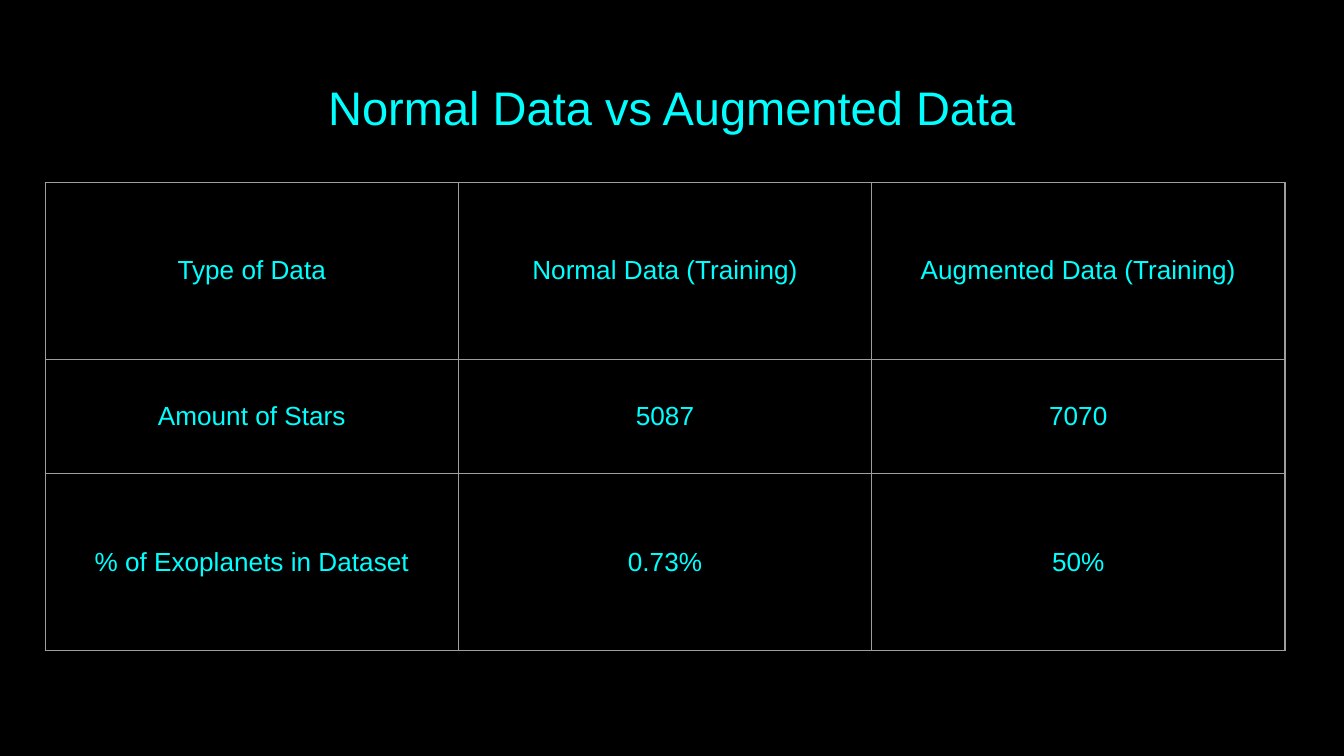
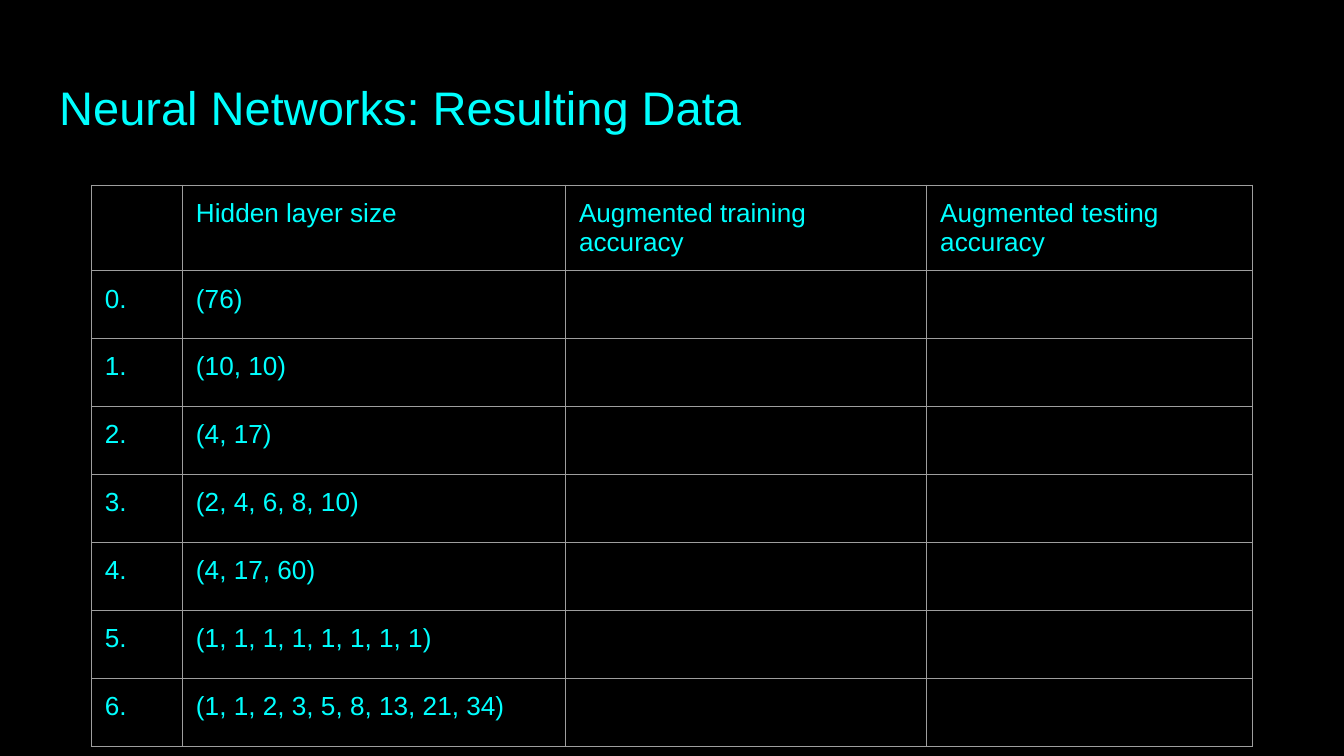
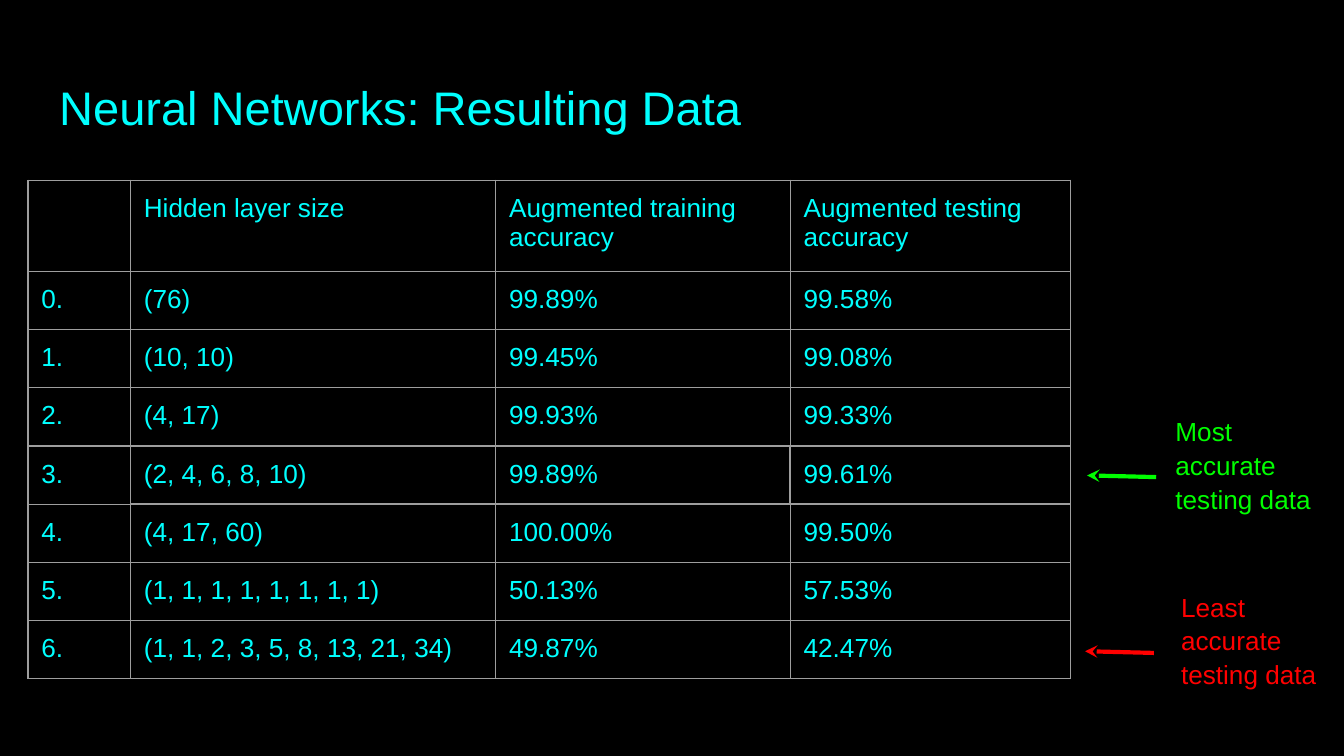
"""Build three slides comparing exoplanet training data and neural network results."""
import pptx
import pptx.dml.color
import pptx.enum.shapes
import pptx.enum.text
import pptx.oxml
import pptx.oxml.ns
import pptx.util
from lxml import etree

Pt = pptx.util.Pt
ALIGN = pptx.enum.text.PP_ALIGN
ANCHOR = pptx.enum.text.MSO_ANCHOR
AUTO_SIZE = pptx.enum.text.MSO_AUTO_SIZE

BLACK, CYAN, GRAY, GREEN, RED = "000000", "00FFFF", "9E9E9E", "00FF00", "FF0000"
FONT = "Arial"
TITLE_SIZE, BODY_SIZE = 25.2, 14
TITLE_BOX = (24.5, 35, 671, 45.1)
LABEL_SIZE = (87.8, 82)
INSET = 7.2
THIN, THICK = 0.75, 1
EDGES = {"a:lnL": (0, -1), "a:lnR": (0, 1), "a:lnT": (-1, 0), "a:lnB": (1, 0)}

DATA_ROWS = [
    ("Type of Data", "Normal Data (Training)", "Augmented Data (Training)"),
    ("Amount of Stars", "5087", "7070"),
    ("% of Exoplanets in Dataset", "0.73%", "50%"),
]
RESULT_HEADER = ("", "Hidden layer size", "Augmented training accuracy", "Augmented testing accuracy")
NETWORKS = [
    ("(76)", "99.89%", "99.58%"),
    ("(10, 10)", "99.45%", "99.08%"),
    ("(4, 17)", "99.93%", "99.33%"),
    ("(2, 4, 6, 8, 10)", "99.89%", "99.61%"),
    ("(4, 17, 60)", "100.00%", "99.50%"),
    ("(1, 1, 1, 1, 1, 1, 1, 1)", "50.13%", "57.53%"),
    ("(1, 1, 2, 3, 5, 8, 13, 21, 34)", "49.87%", "42.47%"),
]
FULL_ROWS = [RESULT_HEADER] + [(f"{number}.", *network) for number, network in enumerate(NETWORKS)]
EMPTY_ROWS = [RESULT_HEADER] + [(*row[:2], "", "") for row in FULL_ROWS[1:]]
BEST_CELLS = {(4, column) for column in (1, 2, 3)}

SLIDES = [
    {
        "title": "Normal Data vs Augmented Data", "align": ALIGN.CENTER, "anchor": ANCHOR.MIDDLE,
        "rows": DATA_ROWS, "corner": (24.2, 97.7),
        "widths": [221.4] * 3, "heights": [94.8, 61.3, 94.8],
    },
    {
        "title": "Neural Networks: Resulting Data", "align": ALIGN.LEFT, "anchor": ANCHOR.TOP,
        "rows": EMPTY_ROWS, "corner": (49, 99.2),
        "widths": [48.8, 205.2, 193.5, 174.4], "heights": [31.7] + [32.4] * 7,
    },
    {
        "title": "Neural Networks: Resulting Data", "align": ALIGN.LEFT, "anchor": ANCHOR.TOP,
        "rows": FULL_ROWS, "corner": (15, 96.5),
        "widths": [54.9, 195.7, 157.8, 150.1], "heights": [48.9] + [31.2] * 7,
        "thick": BEST_CELLS,
        "labels": [
            ("Least accurate testing data", RED, (625.6, 308)),
            ("Most accurate testing data", GREEN, (622.6, 214.2)),
        ],
        "arrows": [
            (GREEN, (582.4, 254.7, 619.4, 255.6)),
            (RED, (581.3, 348.9, 618.2, 349.8)),
        ],
    },
]


def color(value):
    return pptx.dml.color.RGBColor.from_string(value)


def apply(target, values):
    for name, value in values.items():
        setattr(target, name, value)


def points(values):
    return [Pt(value) for value in values]


def write(frame, text, size, text_color, paragraph_format):
    apply(frame, {"word_wrap": True, **{
        f"margin_{side}": Pt(INSET) for side in ("left", "right", "top", "bottom")}})
    paragraph = frame.paragraphs[0]
    apply(paragraph, paragraph_format)
    run = paragraph.add_run()
    run.text = text
    apply(run.font, {"name": FONT, "size": Pt(size)})
    run.font.color.rgb = color(text_color)


def add_title(slide, content):
    title = slide.shapes.title
    apply(title, dict(zip(("left", "top", "width", "height"), points(TITLE_BOX))))
    apply(title.text_frame, {"vertical_anchor": ANCHOR.TOP, "auto_size": AUTO_SIZE.NONE})
    write(title.text_frame, content["title"], TITLE_SIZE, CYAN, {"alignment": content["align"]})


def add_borders(cell, position, thick_cells):
    properties = cell._tc.get_or_add_tcPr()
    for tag, step in EDGES.items():
        neighbour = (position[0] + step[0], position[1] + step[1])
        width = THICK if {position, neighbour} & thick_cells else THIN
        line = etree.SubElement(properties, pptx.oxml.ns.qn(tag), w=str(Pt(width)))
        fill = etree.SubElement(line, pptx.oxml.ns.qn("a:solidFill"))
        etree.SubElement(fill, pptx.oxml.ns.qn("a:srgbClr"), val=GRAY)


def add_table(slide, content):
    rows, widths, heights = content["rows"], content["widths"], content["heights"]
    box = points((*content["corner"], sum(widths), sum(heights)))
    table = slide.shapes.add_table(len(rows), len(widths), *box).table
    apply(table, {"first_row": False, "horz_banding": False})
    for column, width in zip(table.columns, widths):
        column.width = Pt(width)
    for row, height in zip(table.rows, heights):
        row.height = Pt(height)
    for row_index, row in enumerate(rows):
        for column_index, text in enumerate(row):
            cell = table.cell(row_index, column_index)
            add_borders(cell, (row_index, column_index), content.get("thick", set()))
            cell.fill.background()
            apply(cell, {"vertical_anchor": content["anchor"], **{
                f"margin_{side}": Pt(INSET) for side in ("left", "right", "top", "bottom")}})
            if text:
                write(cell.text_frame, text, BODY_SIZE, CYAN, {"alignment": content["align"]})


def add_label(slide, text, label_color, corner):
    frame = slide.shapes.add_textbox(*points((*corner, *LABEL_SIZE))).text_frame
    write(frame, text, BODY_SIZE, label_color, {"line_spacing": 1.08})
    frame.auto_size = AUTO_SIZE.SHAPE_TO_FIT_TEXT


def add_arrow(slide, arrow_color, ends):
    arrow = slide.shapes.add_connector(pptx.enum.shapes.MSO_CONNECTOR.STRAIGHT, *points(ends))
    arrow.line.color.rgb = color(arrow_color)
    arrow.line.width = Pt(2.25)
    etree.SubElement(arrow.line._get_or_add_ln(), pptx.oxml.ns.qn("a:headEnd"), type="stealth")
    etree.SubElement(arrow._element.spPr, pptx.oxml.ns.qn("a:effectLst"))


def main():
    presentation = pptx.Presentation()
    apply(presentation, {"slide_width": Pt(720), "slide_height": Pt(405)})
    background = presentation.slide_master.background.fill
    background.solid()
    background.fore_color.rgb = color(BLACK)
    for content in SLIDES:
        slide = presentation.slides.add_slide(presentation.slide_layouts[5])
        add_title(slide, content)
        add_table(slide, content)
        for label in content.get("labels", []):
            add_label(slide, *label)
        for arrow in content.get("arrows", []):
            add_arrow(slide, *arrow)
    presentation.save("out.pptx")


if __name__ == "__main__":
    main()
